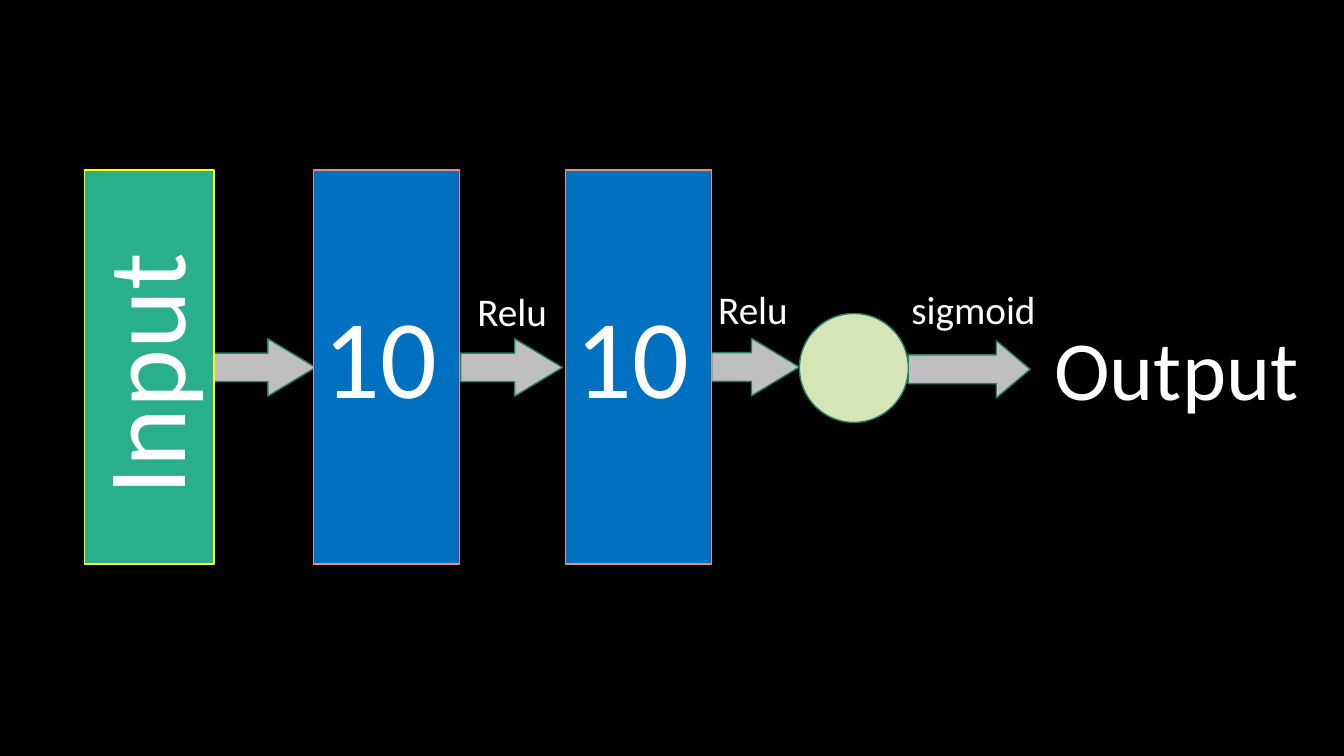
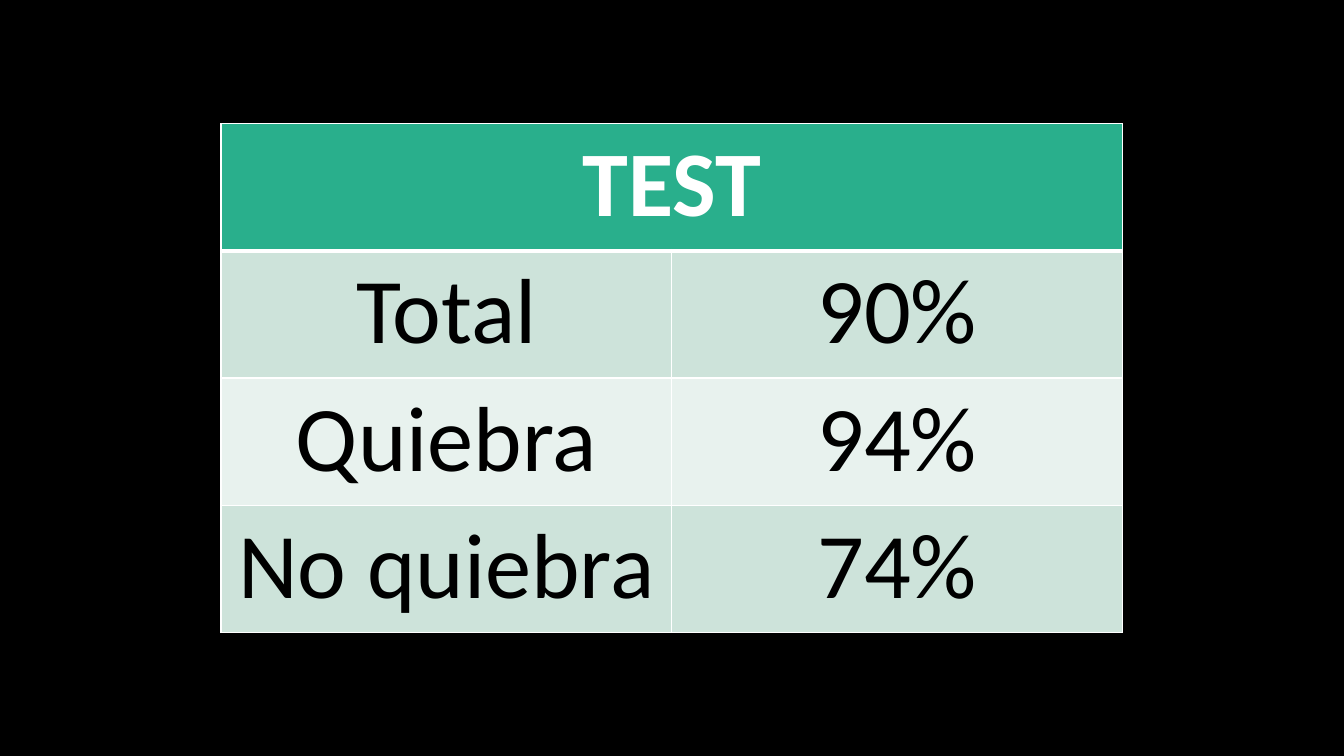
import pptx
import pptx.dml.color
import pptx.enum.shapes
import pptx.enum.text
import pptx.oxml
import pptx.oxml.ns
import pptx.util

Pt = pptx.util.Pt
RGBColor = pptx.dml.color.RGBColor
SHAPE = pptx.enum.shapes.MSO_SHAPE
ALIGN = pptx.enum.text.PP_ALIGN

# Shared style
FONT = "Calibri"
BLACK = RGBColor(0x00, 0x00, 0x00)
WHITE = RGBColor(0xFF, 0xFF, 0xFF)
GREEN = RGBColor(0x29, 0xAF, 0x8C)
DARK_GREEN = RGBColor(0x1E, 0x81, 0x68)
YELLOW = RGBColor(0xFF, 0xFF, 0x00)
BLUE = RGBColor(0x00, 0x70, 0xC0)
SALMON = RGBColor(0xE2, 0x8F, 0x7D)
GRAY = RGBColor(0xBF, 0xBF, 0xBF)
LIME = RGBColor(0xD5, 0xE5, 0xB6)
BAND_DARK = RGBColor(0xCD, 0xE3, 0xDA)
BAND_LIGHT = RGBColor(0xE8, 0xF2, 0xEE)

# Network layout, in points
LAYER_TOP, LAYER_HEIGHT = 121.5, 281.5
ARROW_HEIGHT = 41
LAYER_TEXT_TOP, LAYER_TEXT_HEIGHT = 201, 104.4
LABEL_HEIGHT = 41


def add_page(deck):
    page = deck.slides.add_slide(deck.slide_layouts[6])
    page.background.fill.solid()
    page.background.fill.fore_color.rgb = BLACK
    return page


def add_span(para, text, size, color=WHITE, bold=False):
    span = para.add_run()
    span.text = text
    span.font.name = FONT
    span.font.size = Pt(size)
    span.font.bold = bold
    span.font.color.rgb = color


def add_figure(page, kind, left, top, width, height, fill, line):
    figure = page.shapes.add_shape(kind, Pt(left), Pt(top), Pt(width), Pt(height))
    figure.shadow.inherit = False
    figure.fill.solid()
    figure.fill.fore_color.rgb = fill
    figure.line.color.rgb = line
    figure.line.width = Pt(1)
    return figure


def add_layer(page, left, width, fill, line):
    add_figure(page, SHAPE.RECTANGLE, left, LAYER_TOP, width, LAYER_HEIGHT, fill, line)


def add_arrow(page, left, top, width, head):
    arrow = add_figure(page, SHAPE.RIGHT_ARROW, left, top, width, ARROW_HEIGHT,
                       GRAY, DARK_GREEN)
    arrow.adjustments[1] = head


def add_text(page, text, left, top, width, height, size, align=ALIGN.LEFT, rotation=0):
    box = page.shapes.add_textbox(Pt(left), Pt(top), Pt(width), Pt(height))
    box.rotation = rotation
    box.text_frame.word_wrap = True
    para = box.text_frame.paragraphs[0]
    para.alignment = align
    add_span(para, text, size)


def set_borders(cell, **widths):
    """Draw white cell borders; keys are L, R, T and B, values are points."""
    properties = cell._tc.get_or_add_tcPr()
    namespace = pptx.oxml.ns.nsdecls("a")
    for side in "LRTB":
        width = int(Pt(widths.get(side, 1)))
        properties.append(pptx.oxml.parse_xml(
            f'<a:ln{side} {namespace} w="{width}"><a:solidFill>'
            f'<a:srgbClr val="{WHITE}"/></a:solidFill></a:ln{side}>'))


def fill_cell(cell, text, fill, color, bold=False, **widths):
    set_borders(cell, **widths)
    cell.fill.solid()
    cell.fill.fore_color.rgb = fill
    para = cell.text_frame.paragraphs[0]
    para.alignment = ALIGN.CENTER
    if text:
        add_span(para, text, 66, color, bold)


def build_network(page):
    # Arrows between the stages
    for left, top, width, head in ((139, 242, 86.4, 0.83), (329, 242, 72.7, 0.83),
                                   (508.3, 241.7, 62.6, 0.83), (648.7, 243.3, 87.1, 0.59)):
        add_arrow(page, left, top, width, head)

    # Input layer, hidden layers and output neuron
    add_layer(page, 60.5, 92.5, GREEN, YELLOW)
    add_text(page, "Input", -6.5, LAYER_TEXT_TOP, 215.3, LAYER_TEXT_HEIGHT, 80, rotation=270)
    for left in (224, 404):
        add_layer(page, left, 104.4, BLUE, SALMON)
        add_text(page, "10", left, LAYER_TEXT_TOP, 104.4, LAYER_TEXT_HEIGHT, 80)
    add_figure(page, SHAPE.OVAL, 571, 223.9, 77.8, 77.8, LIME, DARK_GREEN)
    add_text(page, "Output", 746, 222.5, 210, 80, 60)

    # Activation names
    for text, left, top, width in (("Relu", 328.3, 201.6, 75), ("Relu", 500.4, 200.2, 75),
                                   ("sigmoid", 632, 200.2, 126.7)):
        add_text(page, text, left, top, width, LABEL_HEIGHT, 28, ALIGN.CENTER)


def build_results(page):
    rows = (("Total", "90%"), ("Quiebra", "94%"), ("No quiebra", "74%"))
    frame = page.shapes.add_table(len(rows) + 1, 2, Pt(157.9), Pt(88.3), Pt(644), Pt(363.6))
    table = frame.table

    # Header across both columns
    table.cell(0, 0).merge(table.cell(0, 1))
    for column, text in enumerate(("TEST", "")):
        fill_cell(table.cell(0, column), text, GREEN, WHITE, bold=True, B=3)

    # Banded result rows
    for number, row in enumerate(rows, start=1):
        fill = BAND_DARK if number % 2 else BAND_LIGHT
        for column, text in enumerate(row):
            fill_cell(table.cell(number, column), text, fill, BLACK,
                      T=3 if number == 1 else 1)


def main():
    deck = pptx.Presentation()
    deck.slide_width, deck.slide_height = Pt(960), Pt(540)
    build_network(add_page(deck))
    build_results(add_page(deck))
    deck.save("out.pptx")


if __name__ == "__main__":
    main()
